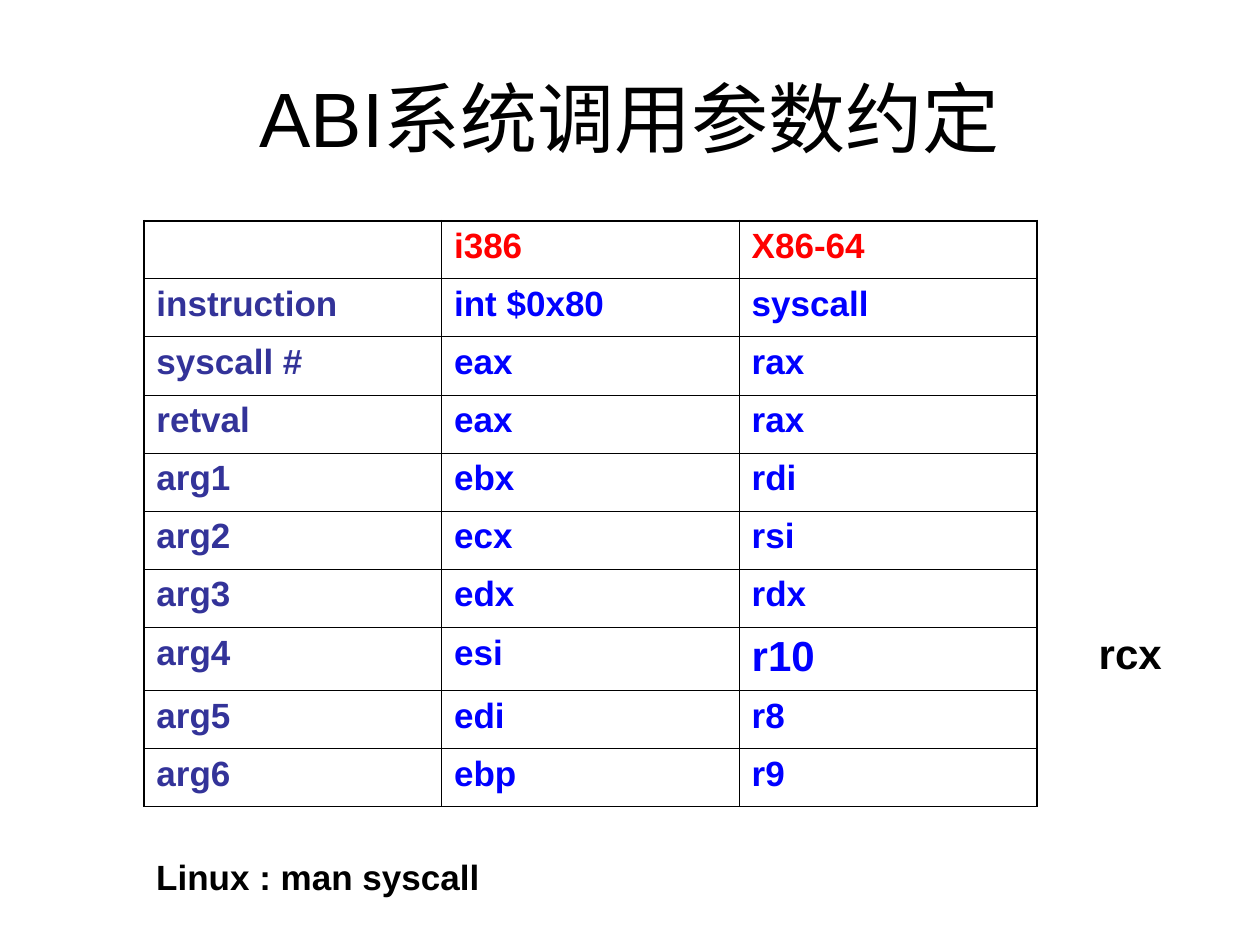
from dataclasses import dataclass

from lxml.etree import SubElement as Sub
from pptx import Presentation
from pptx.dml.color import RGBColor as Rgb
from pptx.enum.text import MSO_ANCHOR as Anchor, MSO_AUTO_SIZE as Fit, PP_ALIGN as Align
from pptx.oxml.ns import qn
from pptx.util import Cm, Pt


@dataclass(frozen=True)
class Theme:
    font: str = "Arial"
    ink: str = "000000"
    paper: str = "FFFFFF"
    head: str = "FF0000"
    label: str = "333399"
    value: str = "0000FF"
    title: int = 44
    body: int = 20
    large: int = 24
    thin: float = 0.45
    thick: float = 1.08


def write(frame, text, size, color, font, bold=False, align=Align.LEFT):
    para = frame.paragraphs[0]
    para.alignment = align
    run = para.add_run()
    run.text = text
    run.font.name = font
    run.font.size = Pt(size)
    run.font.bold = bold
    run.font.color.rgb = Rgb.from_string(color)


class Page:
    def __init__(self, slide, theme):
        self.slide = slide
        self.theme = theme

    def title(self, text, *box):
        t = self.theme
        shape = self.slide.shapes.title
        shape.left, shape.top, shape.width, shape.height = map(Cm, box)
        frame = shape.text_frame
        frame.auto_size = Fit.NONE
        frame.vertical_anchor = Anchor.MIDDLE
        write(frame, text, t.title, t.ink, t.font, align=Align.CENTER)

    def note(self, text, size, *box):
        t = self.theme
        frame = self.slide.shapes.add_textbox(*map(Cm, box)).text_frame
        frame.word_wrap = True
        frame.auto_size = Fit.SHAPE_TO_FIT_TEXT
        write(frame, text, size, t.ink, t.font, bold=True)

    def edge(self, cell, side, width):
        line = Sub(cell._tc.get_or_add_tcPr(), qn("a:ln" + side), w=str(Pt(width)))
        fill = Sub(line, qn("a:solidFill"))
        Sub(fill, qn("a:srgbClr"), val=self.theme.ink)

    def grid(self, rows, left, top, wide, high, tall, big):
        """Draw the table; the row that holds the text big is tall."""
        t = self.theme
        count, span = len(rows), len(rows[0])
        highs = [tall if big in row else high for row in rows]
        table = self.slide.shapes.add_table(
            count, span, Cm(left), Cm(top), Cm(wide * span), Cm(sum(highs))).table
        table.first_row = table.horz_banding = False
        for col in table.columns:
            col.width = Cm(wide)
        for r, row in enumerate(rows):
            table.rows[r].height = Cm(highs[r])
            for c, text in enumerate(row):
                cell = table.cell(r, c)
                # The outer frame is thicker than the inner lines
                outer = {"L": c == 0, "R": c == span - 1,
                         "T": r == 0, "B": r == count - 1}
                for side, out in outer.items():
                    self.edge(cell, side, t.thick if out else t.thin)
                cell.fill.solid()
                cell.fill.fore_color.rgb = Rgb.from_string(t.paper)
                if text:
                    color = t.head if r == 0 else t.value if c else t.label
                    size = t.large if text == big else t.body
                    write(cell.text_frame, text, size, color, t.font, bold=True)


ROWS = [
    ("", "i386", "X86-64"),
    ("instruction", "int $0x80", "syscall"),
    ("syscall #", "eax", "rax"),
    ("retval", "eax", "rax"),
    ("arg1", "ebx", "rdi"),
    ("arg2", "ecx", "rsi"),
    ("arg3", "edx", "rdx"),
    ("arg4", "esi", "r10"),
    ("arg5", "edi", "r8"),
    ("arg6", "ebp", "r9"),
]


def main():
    deck = Presentation()
    deck.slide_width, deck.slide_height = Cm(25.4), Cm(19.05)
    theme = Theme()
    page = Page(deck.slides.add_slide(deck.slide_layouts[5]), theme)

    # Heading
    page.title("ABI系统调用参数约定", 1.27, 0.76, 22.86, 3.18)
    # Register table
    page.grid(ROWS, left=2.9, top=4.45, wide=6, high=1.17, tall=1.28, big="r10")
    # Notes below and beside the table
    page.note("Linux : man syscall", theme.body, 2.9, 17.12, 19.4, 1.11)
    page.note("rcx", theme.large, 21.9, 12.52, 2.18, 1.27)

    deck.save("out.pptx")


if __name__ == "__main__":
    main()
